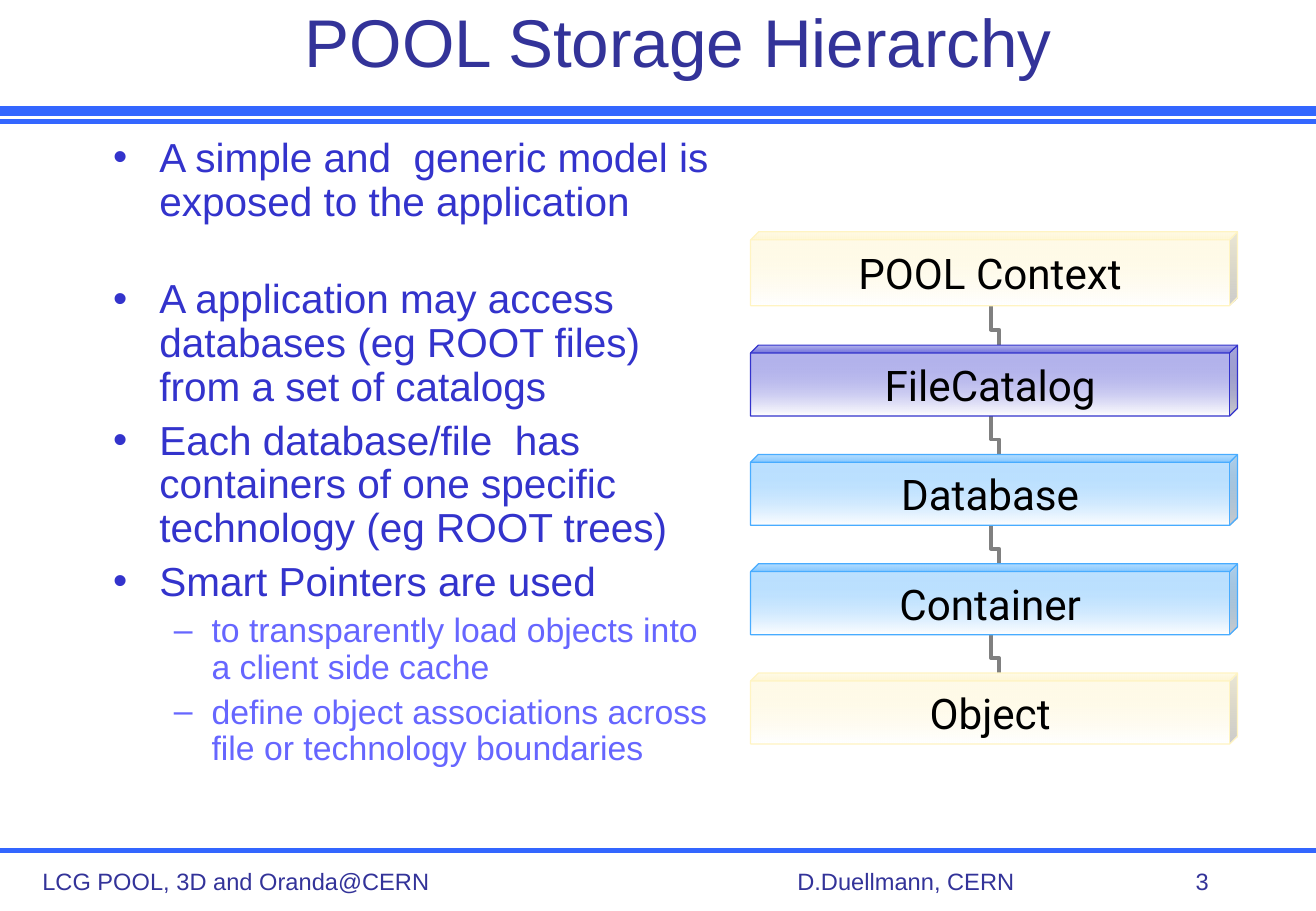
"""Build the POOL storage hierarchy slide on a grid of 130 columns by 90 rows."""
from dataclasses import dataclass

from lxml.etree import SubElement
from pptx import Presentation
from pptx.dml.color import RGBColor
from pptx.enum.shapes import MSO_CONNECTOR as Link, MSO_SHAPE as Preset
from pptx.enum.text import MSO_ANCHOR as Anchor, MSO_AUTO_SIZE as AutoSize, PP_ALIGN as Align
from pptx.oxml.ns import qn
from pptx.util import Inches, Pt

CELL = Inches(1) / 12
COLUMNS, ROWS = 130, 90

NAVY = RGBColor(0x33, 0x33, 0x99)
RULE_BLUE = RGBColor(0x33, 0x66, 0xFF)
INDIGO = RGBColor(0x33, 0x33, 0xCC)
LILAC = RGBColor(0x66, 0x66, 0xFF)
SKY = RGBColor(0x48, 0xAC, 0xFF)
CREAM = RGBColor(0xFF, 0xF4, 0xC2)
GREY = RGBColor(0x80, 0x80, 0x80)
BLACK = RGBColor(0, 0, 0)
WHITE = RGBColor(0xFF, 0xFF, 0xFF)

STACK_LEFT, STACK_WIDTH = 74.15, 48.1
ELBOW_COLUMN, ELBOW_SHIFT, ELBOW_BEND = 98.3, 0.8, 38900


@dataclass(frozen=True)
class Rule:
    row: float
    weight: float


@dataclass(frozen=True)
class BulletStyle:
    mark: str
    margin: float
    hang: float
    size: float
    color: RGBColor


@dataclass(frozen=True)
class Point:
    text: str
    style: BulletStyle
    space_before: float


@dataclass(frozen=True)
class Level:
    label: str
    color: RGBColor
    row: float
    height: float = 7


@dataclass(frozen=True)
class Footer:
    text: str
    column: float
    width: float
    align: Align


MAIN = BulletStyle("•", 0.38, 0.38, 24, INDIGO)
SUB = BulletStyle("–", 0.81, 0.31, 20, LILAC)

RULES = [Rule(11, 6), Rule(12, 3), Rule(84, 3)]
POINTS = [
    Point("A simple and  generic model is exposed to the application", MAIN, 0),
    Point("A application may access databases (eg ROOT files) from a set of catalogs", MAIN, 32),
    Point("Each database/file  has containers of one specific technology (eg ROOT trees)", MAIN, 6),
    Point("Smart Pointers are used", MAIN, 6),
    Point("to transparently load objects into a client side cache", SUB, 5),
    Point("define object associations across file or technology boundaries", SUB, 5),
]
LOWER_LEVELS = [("FileCatalog", INDIGO), ("Database", SKY), ("Container", SKY), ("Object", CREAM)]
LEVELS = [Level("POOL Context", CREAM, 22.9, 7.3)] + [
    Level(label, color, 34.1 + 10.8 * step) for step, (label, color) in enumerate(LOWER_LEVELS)
]
FOOTERS = [
    Footer("D.Duellmann, CERN", 68, 43, Align.CENTER),
    Footer("3", 112, 8.6, Align.RIGHT),
    Footer("LCG POOL, 3D and Oranda@CERN", 3, 73, Align.LEFT),
]


def grid(*cells: float) -> list[int]:
    """Turn grid cells into lengths."""
    return [round(cell * CELL) for cell in cells]


def style_font(paragraph, name: str, size: float, color: RGBColor) -> None:
    """Set the font of a whole paragraph."""
    paragraph.font.name = name
    paragraph.font.size = Pt(size)
    paragraph.font.color.rgb = color


def add_link(slide, kind: Link, ends: list[int], color: RGBColor, weight: float):
    """Draw a connector without a shadow."""
    link = slide.shapes.add_connector(kind, *ends)
    link.line.color.rgb = color
    link.line.width = Pt(weight)
    SubElement(link._element.spPr, qn("a:effectLst"))
    return link


def add_title(slide, text: str) -> None:
    """Place and format the title."""
    title = slide.shapes.title
    title.left, title.top, title.width, title.height = grid(17, 0, 100, 8)
    frame = title.text_frame
    frame.text = text
    frame.auto_size = AutoSize.NONE
    frame.vertical_anchor = Anchor.MIDDLE
    frame.paragraphs[0].alignment = Align.CENTER
    style_font(frame.paragraphs[0], "Arial", 40, NAVY)


def add_points(slide, points: list[Point]) -> None:
    """Write the bulleted points."""
    frame = slide.shapes.add_textbox(*grid(10, 13, 62, 71)).text_frame
    frame.word_wrap = True
    for index, point in enumerate(points):
        paragraph = frame.add_paragraph() if index else frame.paragraphs[0]
        paragraph.text = point.text
        style = point.style
        properties = paragraph._p.get_or_add_pPr()
        properties.set("marL", str(Inches(style.margin)))
        properties.set("indent", str(-Inches(style.hang)))
        bullet_color = SubElement(properties, qn("a:buClr"))
        SubElement(bullet_color, qn("a:srgbClr"), val=str(style.color))
        SubElement(properties, qn("a:buFont"), typeface="Arial")
        SubElement(properties, qn("a:buChar"), char=style.mark)
        paragraph.line_spacing = 0.9
        paragraph.space_before = Pt(point.space_before)
        style_font(paragraph, "Arial", style.size, style.color)


def add_elbow(slide, upper: Level, lower: Level) -> None:
    """Draw the bent line that joins two levels."""
    top = upper.row + upper.height
    middle, reach = (top + lower.row) / 2, (lower.row - top) / 2
    shift = ELBOW_SHIFT / 2
    ends = grid(ELBOW_COLUMN - reach, middle + shift, ELBOW_COLUMN + reach, middle - shift)
    elbow = add_link(slide, Link.ELBOW, ends, GREY, 2.25)
    properties = elbow._element.spPr
    properties.find(qn("a:xfrm")).set("rot", str(270 * 60000))
    guides = properties.find(qn("a:prstGeom")).find(qn("a:avLst"))
    SubElement(guides, qn("a:gd"), name="adj1", fmla=f"val {ELBOW_BEND}")


def add_level(slide, level: Level) -> None:
    """Draw one level of the hierarchy as a cube."""
    cube = slide.shapes.add_shape(Preset.CUBE, *grid(STACK_LEFT, level.row, STACK_WIDTH, level.height))
    cube.adjustments[0] = 0.11
    cube.shadow.inherit = False
    cube.line.color.rgb = level.color
    cube.line.width = Pt(0.75)
    cube.fill.gradient()
    cube.fill.gradient_angle = 270
    for stop, color in zip(cube.fill.gradient_stops, (level.color, WHITE)):
        stop.color.rgb = color
    tint = next(cube._element.spPr.iter(qn("a:srgbClr")))
    SubElement(tint, qn("a:alpha"), val="40000")
    frame = cube.text_frame
    frame.text = level.label
    frame.word_wrap = False
    frame.vertical_anchor = Anchor.MIDDLE
    frame.margin_left = frame.margin_right = Inches(0.13)
    frame.margin_top = frame.margin_bottom = Inches(0.06)
    frame.paragraphs[0].alignment = Align.CENTER
    style_font(frame.paragraphs[0], "Roboto", 25, BLACK)


def add_footer(slide, footer: Footer) -> None:
    """Write one part of the footer."""
    frame = slide.shapes.add_textbox(*grid(footer.column, 85, footer.width, 3)).text_frame
    frame.word_wrap = True
    frame.text = footer.text
    frame.paragraphs[0].alignment = footer.align
    style_font(frame.paragraphs[0], "Arial", 14, NAVY)


def main() -> None:
    """Build and save the slide."""
    deck = Presentation()
    deck.slide_width, deck.slide_height = grid(COLUMNS, ROWS)
    slide = deck.slides.add_slide(deck.slide_layouts[5])
    for rule in RULES:
        add_link(slide, Link.STRAIGHT, grid(0, rule.row, COLUMNS, rule.row), RULE_BLUE, rule.weight)
    add_title(slide, "POOL Storage Hierarchy")
    add_points(slide, POINTS)
    for upper, lower in zip(LEVELS, LEVELS[1:]):
        add_elbow(slide, upper, lower)
    for level in LEVELS:
        add_level(slide, level)
    for footer in FOOTERS:
        add_footer(slide, footer)
    deck.save("out.pptx")


if __name__ == "__main__":
    main()
